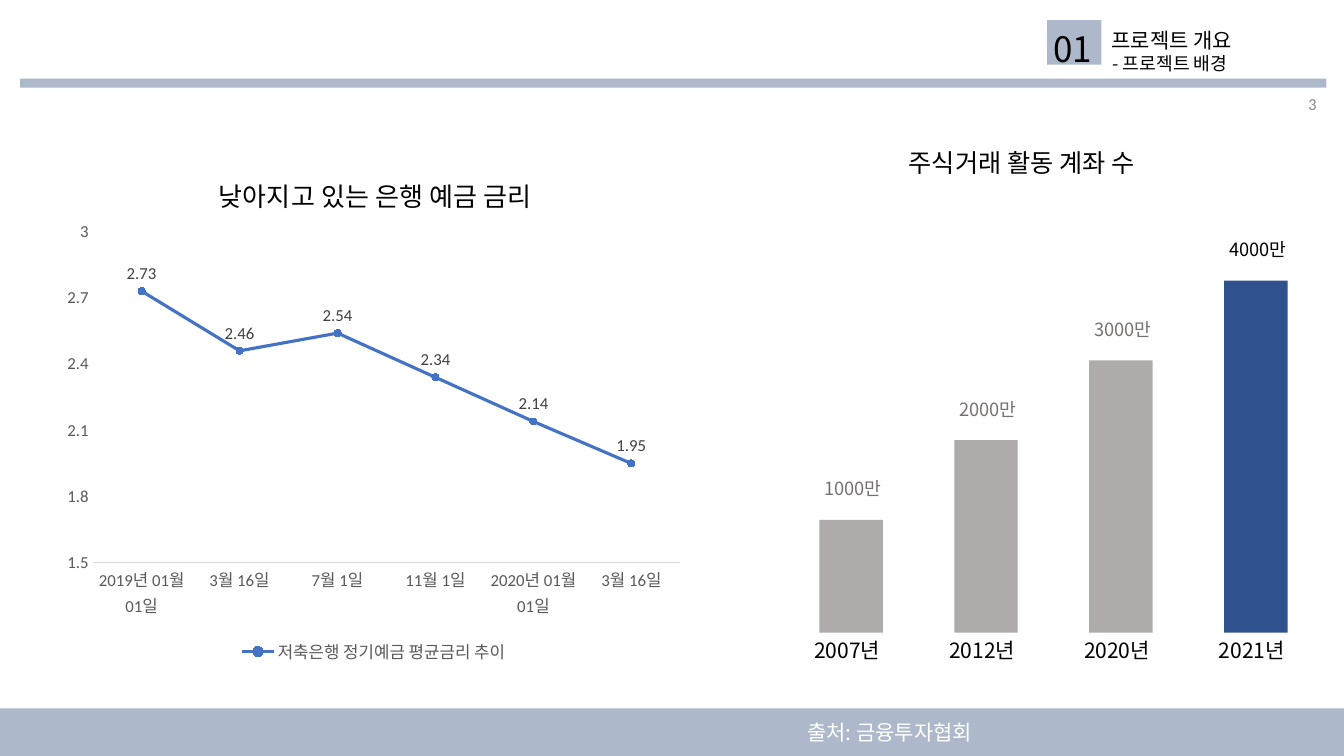
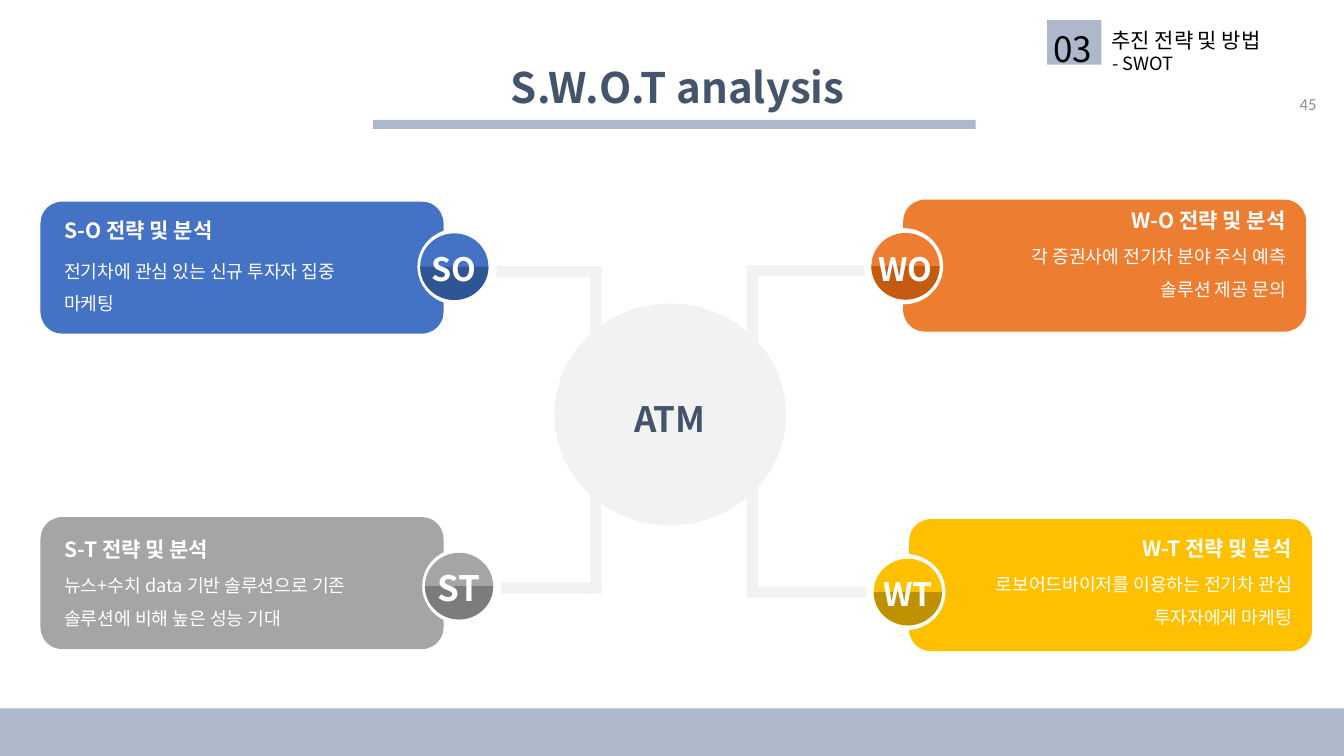
import pptx
import pptx.chart.data
import pptx.dml.color
import pptx.enum.chart
import pptx.enum.shapes
import pptx.enum.text
import pptx.oxml
import pptx.oxml.ns
import pptx.util

Cm = pptx.util.Cm
Pt = pptx.util.Pt
KIND = pptx.enum.shapes.MSO_SHAPE
ALIGN = pptx.enum.text.PP_ALIGN
ANCHOR = pptx.enum.text.MSO_ANCHOR
CHART = pptx.enum.chart
qn = pptx.oxml.ns.qn

HUES = {
    "band": "ADB9CA", "ink": "000000", "white": "FFFFFF", "navy": "44546A",
    "page": "8C8C8C", "pale": "F2F2F2", "bar": "AFABAB", "peak": "2F528F",
    "note": "767171", "axis": "595959", "rule": "D9D9D9", "tag": "404040",
    "blue": "4472C4", "blue2": "2F5597", "gray": "A5A5A5", "gray2": "7C7C7C",
    "orange": "ED7D31", "orange2": "C55A11", "gold": "FFC000", "gold2": "BF9000",
}
SANS = "Noto Sans CJK KR"
LATIN = "Calibri"


def hue(name):
    return pptx.dml.color.RGBColor.from_string(HUES[name])


class Deck:
    def __init__(self):
        self.file = pptx.Presentation()
        self.file.slide_width = Cm(33.87)
        self.file.slide_height = Cm(19.05)
        self.slide = None

    def page(self, part, title, sub, num):
        self.slide = self.file.slides.add_slide(self.file.slide_layouts[6])
        self.shape(0, 17.85, 33.87, 1.2, "band")
        self.shape(26.39, 0.51, 1.37, 1.12, "band")
        self.text(26.3, 0.56, 1.83, 1.32, part, 25)
        self.text(27.76, 0.58, 5.5, 0.89, title, 15)
        self.text(27.79, 1.19, 5.5, 0.81, sub, 13)
        self.text(25.81, 2.11, 7.62, 1.02, num, 12, "page", ALIGN.RIGHT,
                  font=LATIN, anchor=ANCHOR.MIDDLE)

    def style(self, font, size, color, face=SANS, bold=False):
        font.name = face
        font.size = Pt(size)
        font.bold = bold
        font.color.rgb = hue(color)

    def shape(self, x, y, w, h, color, kind=KIND.RECTANGLE):
        item = self.slide.shapes.add_shape(kind, Cm(x), Cm(y), Cm(w), Cm(h))
        item.shadow.inherit = False
        item.fill.solid()
        item.fill.fore_color.rgb = hue(color)
        item.line.fill.background()
        return item

    def disc(self, x, y, w, h, color, kind=KIND.OVAL):
        return self.shape(x - w / 2, y - h / 2, w, h, color, kind)

    def badge(self, x, y, shift, color, dark):
        self.disc(x + shift, y, 2, 1.92, "white")
        self.disc(x, y, 1.72, 1.68, color)
        half = self.disc(x, y, 1.72, 1.68, dark, KIND.CHORD)
        half.adjustments[0] = 0
        half.adjustments[1] = 108

    def text(self, x, y, w, h, words, size, color="ink", align=ALIGN.LEFT,
             bold=False, font=SANS, space=None, anchor=ANCHOR.TOP):
        box = self.slide.shapes.add_textbox(Cm(x), Cm(y), Cm(w), Cm(h))
        frame = box.text_frame
        frame.word_wrap = True
        frame.vertical_anchor = anchor
        frame.text = words
        for para in frame.paragraphs:
            para.alignment = align
            if space:
                para.line_spacing = space
            self.style(para.font, size, color, font, bold)
            props = para._p.pPr.find(qn("a:defRPr"))
            pptx.oxml.ns
            east = props.makeelement(qn("a:ea"), {"typeface": font})
            props.find(qn("a:latin")).addnext(east)

    def place(self, node, after, **spots):
        ns = pptx.oxml.ns.nsdecls("c")
        inner = '<c:layoutTarget val="inner"/>' if "w" in spots else ""
        modes = "".join(f'<c:{k}Mode val="edge"/>' for k in "xy")
        sizes = "".join(f'<c:{k} val="{v}"/>' for k, v in spots.items())
        for old in node.findall(qn("c:layout")):
            node.remove(old)
        layout = pptx.oxml.parse_xml(
            f"<c:layout {ns}><c:manualLayout>{inner}{modes}{sizes}"
            "</c:manualLayout></c:layout>")
        if after is None:
            node.insert(0, layout)
        else:
            after.addnext(layout)

    def trend(self, x, y, w, h, title, name, points):
        data = pptx.chart.data.CategoryChartData()
        data.categories = [day for day, rate in points]
        data.add_series(name, [rate for day, rate in points])
        chart = self.slide.shapes.add_chart(
            CHART.XL_CHART_TYPE.LINE_MARKERS, Cm(x), Cm(y), Cm(w), Cm(h), data).chart
        self.style(chart.font, 10, "ink", LATIN)
        chart.has_title = True
        head = chart.chart_title
        head.text_frame.text = title
        self.style(head.text_frame.paragraphs[0].runs[0].font, 18.6, "ink")
        head.include_in_layout = False
        self.place(head._element, head._element.find(qn("c:tx")), x=0.25, y=0.05)
        area = chart._chartSpace.chart.plotArea
        self.place(area, None, x=0.06, y=0.17, w=0.92, h=0.63)

        chart.has_legend = True
        chart.legend.position = CHART.XL_LEGEND_POSITION.BOTTOM
        chart.legend.include_in_layout = False
        self.style(chart.legend.font, 12, "axis", LATIN)

        for axis in (chart.category_axis, chart.value_axis):
            axis.major_tick_mark = CHART.XL_TICK_MARK.NONE
            axis.minor_tick_mark = CHART.XL_TICK_MARK.NONE
            axis.has_major_gridlines = False
            self.style(axis.tick_labels.font, 12, "axis", LATIN)
        edge = chart.category_axis.format.line
        edge.color.rgb = hue("rule")
        edge.width = Pt(0.75)
        scale = chart.value_axis
        scale.format.line.fill.background()
        scale.minimum_scale = 1.5
        scale.maximum_scale = 3
        scale.major_unit = 0.3

        plot = chart.plots[0]
        plot.vary_by_categories = False
        line = plot.series[0]
        line.smooth = False
        line.format.line.color.rgb = hue("blue")
        line.format.line.width = Pt(2.25)
        line.marker.style = CHART.XL_MARKER_STYLE.CIRCLE
        line.marker.size = 5
        line.marker.format.fill.solid()
        line.marker.format.fill.fore_color.rgb = hue("blue")
        line.marker.format.line.color.rgb = hue("blue")
        tags = line.data_labels
        tags.show_value = True
        tags.position = CHART.XL_LABEL_POSITION.ABOVE
        self.style(tags.font, 12, "tag", LATIN)


def rates(deck):
    deck.page("01", "프로젝트 개요", "- 프로젝트 배경", "3")
    deck.shape(0.51, 1.98, 32.92, 0.23, "band")
    deck.trend(1.37, 3.58, 16.1, 13.26, "낮아지고 있는 은행 예금 금리",
               "저축은행 정기예금 평균금리 추이",
               [("2019년 01월 01일", 2.73), ("3월 16일", 2.46), ("7월 1일", 2.54),
                ("11월 1일", 2.34), ("2020년 01월 01일", 2.14), ("3월 16일", 1.95)])
    deck.text(20.09, 18.01, 6.3, 0.89, "출처: 금융투자협회", 15, "white")
    deck.text(20.32, 3.58, 10.85, 1.02, "주식거래 활동 계좌 수", 18, align=ALIGN.CENTER)
    base = 15.94
    for i, year in enumerate((2007, 2012, 2020, 2021)):
        last = year == 2021
        left = 20.65 + 3.4 * i
        tall = 2.84 + 2.01 * i
        deck.shape(left, base - tall, 1.6, tall, "peak" if last else "bar")
        deck.text(left - 0.38, base, 3, 0.89, f"{year}년", 15)
        deck.text(left - 0.12, base - tall - 1.19, 3, 0.81, f"{i + 1}000만", 13,
                  "ink" if last else "note")


def swot(deck):
    deck.page("03", "추진 전략 및 방법", "- SWOT", "45")
    deck.text(3.2, 1.42, 27.76, 1.55, "S.W.O.T analysis", 30, "navy", ALIGN.CENTER, True)
    deck.shape(9.4, 3.02, 15.19, 0.23, "band")
    for x in (14.88, 18.82):
        deck.shape(x, 6.71, 0.28, 8.25, "pale")
    cards = [
        ("SO", 23, "blue", 1.02, 5.08, 11.45, 6.72, 6.71, 6.15, 5.36, 6.15,
         "전기차에 관심 있는 신규 투자자 집중\n마케팅"),
        ("ST", 25, "gray", 1.02, 13.03, 11.57, 14.77, 14.68, 14.15, 13.39, 14.07,
         "뉴스+수치 data 기반 솔루션으로 기존 솔루션에 비해 높은 성능 기대"),
        ("WO", 23, "orange", 22.76, 5.03, 22.82, 6.71, 6.68, 6.15, 5.11, 5.79,
         "각 증권사에 전기차 분야 주식 예측\n솔루션 제공 문의"),
        ("WT", 23, "gold", 22.91, 13.08, 22.88, 14.92, 14.78, 14.35, 13.36, 14.05,
         "로보어드바이저를 이용하는 전기차 관심 투자자에게 마케팅"),
    ]
    for code, size, color, x, y, mid, row, arm, tag, top, low, words in cards:
        west = code[0] == "S"
        deck.shape(x, y, 10.16, 3.33, color, KIND.ROUNDED_RECTANGLE)
        deck.shape(12.5 if west else 18.82, arm, 2.66 if west else 3.2, 0.28, "pale")
        deck.badge(mid, row, 0.07 if west else -0.05, color, color + "2")
        deck.text(mid - 2.15, tag, 4.3, 1.24, code, size, "white", ALIGN.CENTER, True)
        left = x + 0.35 if west else x + 1.39
        align = ALIGN.LEFT if west else ALIGN.RIGHT
        deck.text(left, top, 8.5, 0.89, f"{code[0]}-{code[1]} 전략 및 분석", 15,
                  "white", align, True)
        deck.text(left, low, 8.5, 1.85, words, 13, "white", align, space=1.5)
    deck.shape(13.97, 7.65, 5.84, 5.59, "pale", KIND.OVAL)
    deck.text(13.08, 9.88, 7.6, 1.32, "ATM", 25, "navy", ALIGN.CENTER, True)


def main():
    deck = Deck()
    rates(deck)
    swot(deck)
    deck.file.save("out.pptx")


if __name__ == "__main__":
    main()
